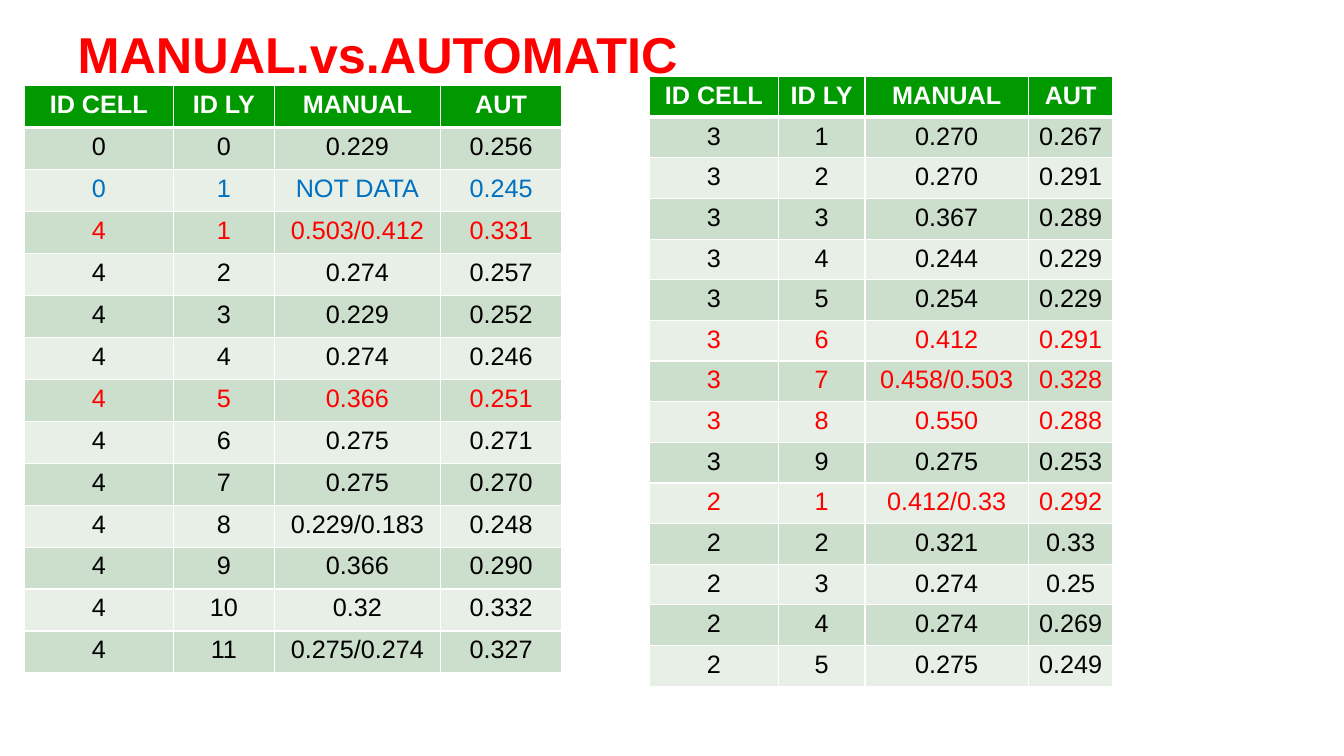
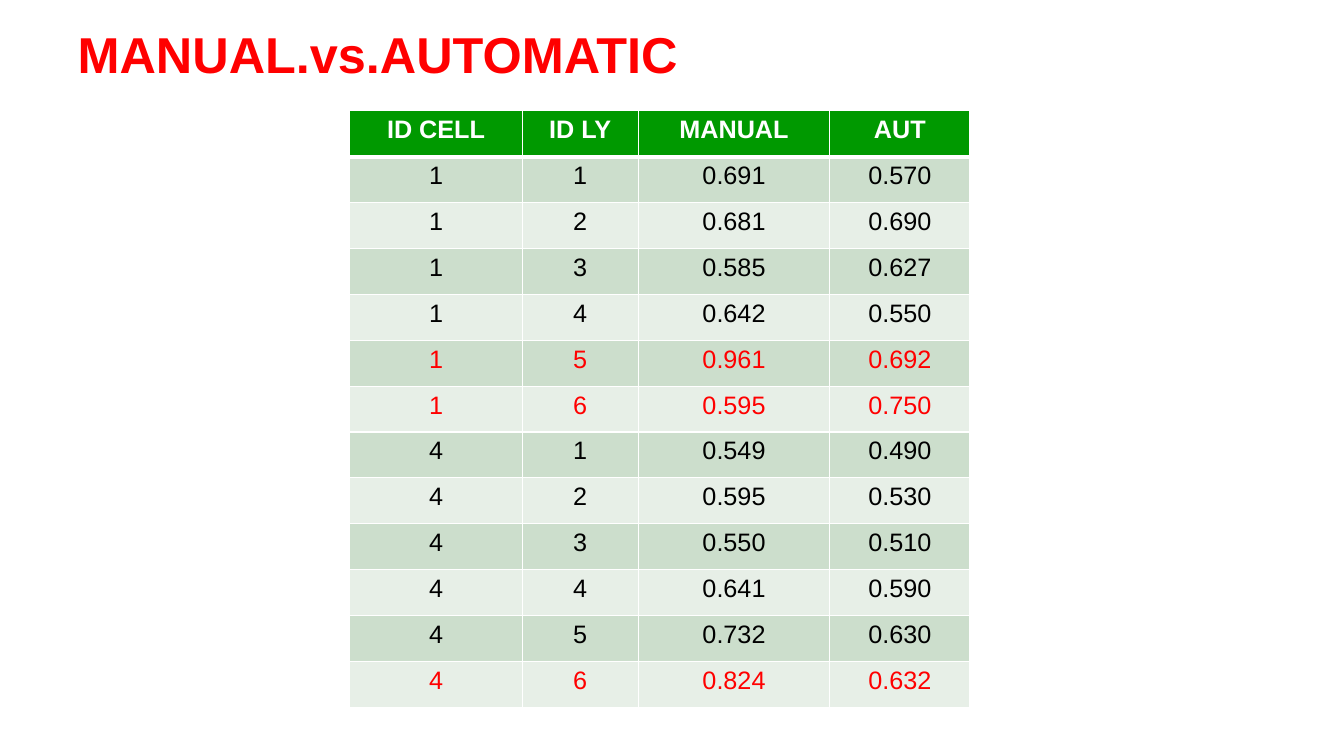
from lxml.etree import SubElement
from pptx import Presentation
from pptx.dml.color import RGBColor
from pptx.enum.text import MSO_ANCHOR, PP_ALIGN
from pptx.oxml.ns import qn
from pptx.util import Pt

# Scale: 100 px to the inch
PX = 9144

# Colours
RED = RGBColor(0xFF, 0x00, 0x00)
BLUE = RGBColor(0x00, 0x70, 0xC0)
BLACK = RGBColor(0x00, 0x00, 0x00)
WHITE = RGBColor(0xFF, 0xFF, 0xFF)
GREEN = RGBColor(0x00, 0x99, 0x00)
BANDS = (RGBColor(0xCC, 0xDE, 0xCC), RGBColor(0xE7, 0xEF, 0xE7))

# Text styles
TITLE = {"name": "Arial", "size": Pt(36), "bold": True}
HEAD = {"name": "Arial", "size": Pt(18), "bold": True}
BODY = {**HEAD, "bold": False}

# Table content: a row may end with its own text colour
NAMES = ("ID CELL", "ID LY", "MANUAL", "AUT")
LEFT = (
    (0, 0, "0.229", "0.256"),
    (0, 1, "NOT DATA", "0.245", BLUE),
    (4, 1, "0.503/0.412", "0.331", RED),
    (4, 2, "0.274", "0.257"),
    (4, 3, "0.229", "0.252"),
    (4, 4, "0.274", "0.246"),
    (4, 5, "0.366", "0.251", RED),
    (4, 6, "0.275", "0.271"),
    (4, 7, "0.275", "0.270"),
    (4, 8, "0.229/0.183", "0.248"),
    (4, 9, "0.366", "0.290"),
    (4, 10, "0.32", "0.332"),
    (4, 11, "0.275/0.274", "0.327"),
)
RIGHT = (
    (3, 1, "0.270", "0.267"),
    (3, 2, "0.270", "0.291"),
    (3, 3, "0.367", "0.289"),
    (3, 4, "0.244", "0.229"),
    (3, 5, "0.254", "0.229"),
    (3, 6, "0.412", "0.291", RED),
    (3, 7, "0.458/0.503", "0.328", RED),
    (3, 8, "0.550", "0.288", RED),
    (3, 9, "0.275", "0.253"),
    (2, 1, "0.412/0.33", "0.292", RED),
    (2, 2, "0.321", "0.33"),
    (2, 3, "0.274", "0.25"),
    (2, 4, "0.274", "0.269"),
    (2, 5, "0.275", "0.249"),
)
CENTRE = (
    (1, 1, "0.691", "0.570"),
    (1, 2, "0.681", "0.690"),
    (1, 3, "0.585", "0.627"),
    (1, 4, "0.642", "0.550"),
    (1, 5, "0.961", "0.692", RED),
    (1, 6, "0.595", "0.750", RED),
    (4, 1, "0.549", "0.490"),
    (4, 2, "0.595", "0.530"),
    (4, 3, "0.550", "0.510"),
    (4, 4, "0.641", "0.590"),
    (4, 5, "0.732", "0.630"),
    (4, 6, "0.824", "0.632", RED),
)


class Deck:
    """Holds the style and the current slide."""

    def __init__(self):
        self.prs = Presentation()
        self.prs.slide_width, self.prs.slide_height = 1333 * PX, 750 * PX
        self.slide = None

    def page(self, text):
        """Start a slide with the shared title."""
        self.slide = self.prs.slides.add_slide(self.prs.slide_layouts[5])
        title = self.slide.shapes.title
        box = {"left": 67, "top": 21, "width": 1200, "height": 64}
        for key, val in box.items():
            setattr(title, key, val * PX)
        frame = title.text_frame
        frame.vertical_anchor = MSO_ANCHOR.MIDDLE
        self.label(frame, text, PP_ALIGN.LEFT, TITLE, RED)

    def label(self, frame, text, align, style, ink):
        frame.text = str(text)
        par = frame.paragraphs[0]
        par.alignment = align
        font = par.runs[0].font
        for key, val in style.items():
            setattr(font, key, val)
        font.color.rgb = ink

    def edge(self, cell, side, width):
        """Draw one white cell border."""
        line = SubElement(cell._tc.get_or_add_tcPr(), qn(f"a:ln{side}"), w=str(Pt(width)))
        fill = SubElement(line, qn("a:solidFill"))
        SubElement(fill, qn("a:srgbClr"), val=str(WHITE))

    def cell(self, cell, text, style, ink, fill, top, base):
        for side, width in (("L", 1), ("R", 1), ("T", top), ("B", base)):
            self.edge(cell, side, width)
        cell.fill.solid()
        cell.fill.fore_color.rgb = fill
        self.label(cell.text_frame, text, PP_ALIGN.CENTER, style, ink)

    def table(self, left, top, height, cols, rows):
        """Add a table with equal rows, a green head and banded body."""
        grid = self.slide.shapes.add_table(
            len(rows) + 1, len(cols), left * PX, top * PX, sum(cols) * PX, height * PX
        ).table
        for col, width in zip(grid.columns, cols):
            col.width = width * PX
        for x, name in enumerate(NAMES):
            self.cell(grid.cell(0, x), name, HEAD, WHITE, GREEN, 1, 3)
        for y, row in enumerate(rows, 1):
            ink = row[4] if len(row) > 4 else BLACK
            for x, text in enumerate(row[:4]):
                self.cell(grid.cell(y, x), text, BODY, ink, BANDS[(y - 1) % 2],
                          3 if y == 1 else 1, 1)


def main():
    deck = Deck()

    # Slide 1: two tables side by side
    deck.page("MANUAL.vs.AUTOMATIC")
    deck.table(24, 85, 583, (148, 100, 165, 120), LEFT)
    deck.table(644, 76, 605, (128, 86, 162, 84), RIGHT)

    # Slide 2: one table
    deck.page("MANUAL.vs.AUTOMATIC")
    deck.table(347, 110, 592, (171, 115, 190, 139), CENTRE)

    deck.prs.save("out.pptx")


if __name__ == "__main__":
    main()
